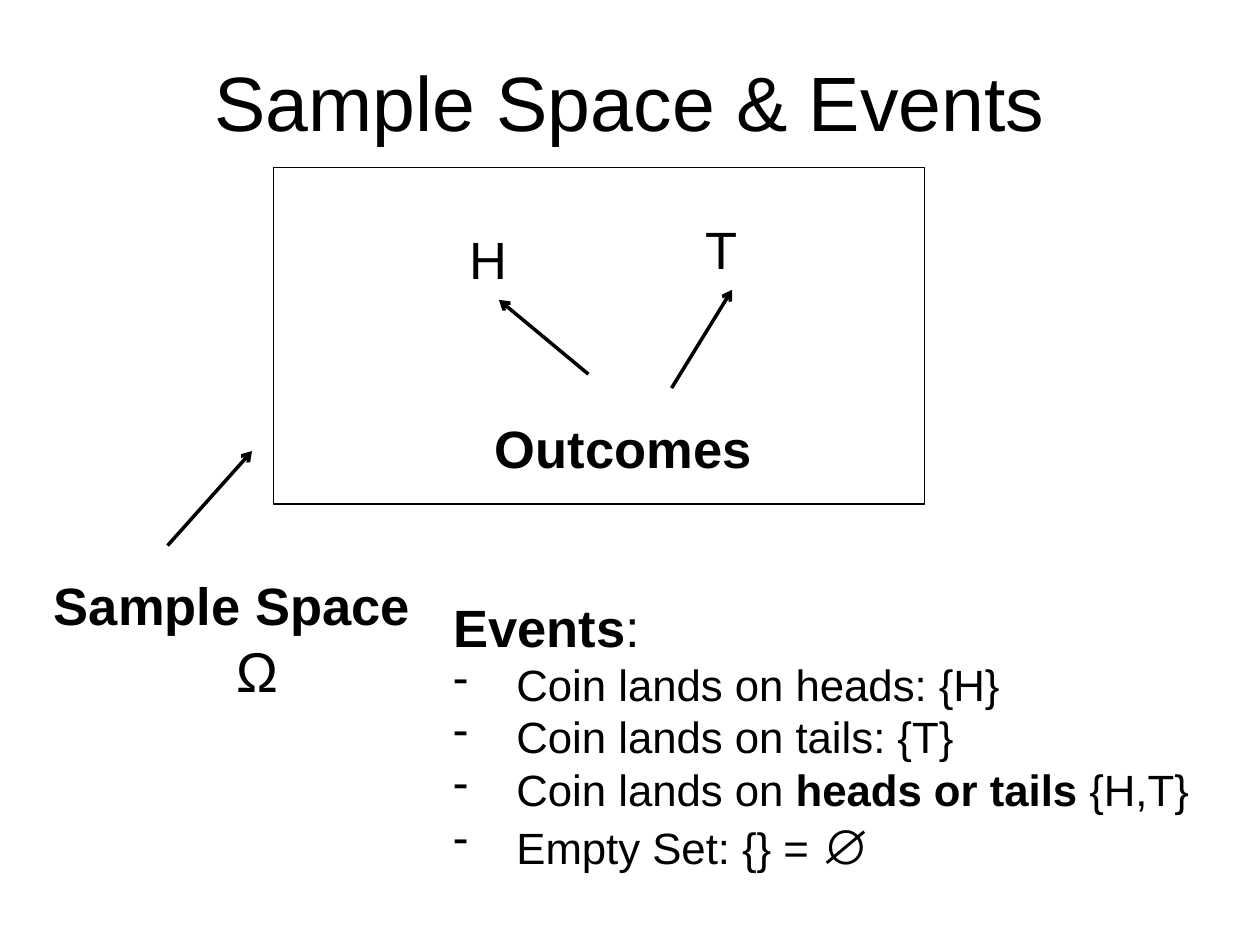
"""Build the slide on the sample space and events of a coin toss."""
from dataclasses import dataclass

import pptx
import pptx.dml.color
import pptx.enum.shapes
import pptx.enum.text
import pptx.oxml
import pptx.oxml.ns
import pptx.util
from pptx.util import Inches

BLACK = pptx.dml.color.RGBColor(0, 0, 0)
FONT = "Arial"
CENTER = pptx.enum.text.PP_ALIGN.CENTER
LEFT = pptx.enum.text.PP_ALIGN.LEFT
MIDDLE = pptx.enum.text.MSO_ANCHOR.MIDDLE
TOP = pptx.enum.text.MSO_ANCHOR.TOP
GROW = pptx.enum.text.MSO_AUTO_SIZE.SHAPE_TO_FIT_TEXT
FIXED = pptx.enum.text.MSO_AUTO_SIZE.NONE


@dataclass(frozen=True)
class Run:
    text: str
    size: float = 30
    bold: bool = False


@dataclass(frozen=True)
class Line:
    runs: tuple[Run, ...]
    align: int = LEFT
    dash: bool = False


@dataclass(frozen=True)
class Arrow:
    start: tuple[float, float]
    end: tuple[float, float]


def add_child(parent, tag: str, **attributes: str) -> None:
    child = pptx.oxml.parse_xml(f"<{tag} {pptx.oxml.ns.nsdecls('a')}/>")
    for name, value in attributes.items():
        child.set(name, value)
    parent.append(child)


def add_text(slide, box: tuple[float, float, float, float], *lines: Line,
             wrap: bool = False, anchor=TOP, auto_size=GROW) -> None:
    frame = slide.shapes.add_textbox(*map(Inches, box)).text_frame
    frame.word_wrap = wrap
    frame.auto_size = auto_size
    frame.vertical_anchor = anchor
    for index, line in enumerate(lines):
        paragraph = frame.add_paragraph() if index else frame.paragraphs[0]
        paragraph.alignment = line.align
        if line.dash:
            properties = paragraph._p.get_or_add_pPr()
            properties.set("marL", str(Inches(0.5)))
            properties.set("indent", str(-Inches(0.5)))
            add_child(properties, "a:buChar", char="-")
        for part in line.runs:
            run = paragraph.add_run()
            run.text = part.text
            run.font.name = FONT
            run.font.size = pptx.util.Pt(part.size)
            run.font.bold = part.bold
            run.font.color.rgb = BLACK


def add_arrow(slide, arrow: Arrow) -> None:
    connector = slide.shapes.add_connector(
        pptx.enum.shapes.MSO_CONNECTOR.STRAIGHT,
        *map(Inches, arrow.start + arrow.end))
    connector.line.color.rgb = BLACK
    connector.line.width = pptx.util.Pt(2)
    add_child(connector.line._get_or_add_ln(), "a:tailEnd", type="arrow")
    add_child(connector._element.spPr, "a:effectLst")


def event(*runs: Run) -> Line:
    return Line(runs, dash=True)


deck = pptx.Presentation()
deck.slide_width, deck.slide_height = Inches(10), Inches(7.5)
slide = deck.slides.add_slide(deck.slide_layouts[6])

add_text(slide, (0.5, 0.17, 9, 1.25),
         Line((Run("Sample Space & Events", 44),), CENTER),
         wrap=True, anchor=MIDDLE, auto_size=FIXED)

space = slide.shapes.add_shape(pptx.enum.shapes.MSO_SHAPE.RECTANGLE,
                               Inches(2.17), Inches(1.33), Inches(5.17), Inches(2.67))
space.shadow.inherit = False
space.fill.background()
space.line.color.rgb = BLACK
space.line.width = pptx.util.Pt(0.75)

add_text(slide, (3.63, 1.75, 0.51, 0.61), Line((Run("H"),)))
add_text(slide, (5.5, 1.67, 0.45, 0.61), Line((Run("T"),)))
add_text(slide, (3.83, 3.25, 2.26, 0.61), Line((Run("Outcomes", bold=True),)))
add_text(slide, (0.33, 4.5, 3.42, 1.14),
         Line((Run("Sample Space", bold=True),)),
         Line((Run("Ω", 32),), CENTER), wrap=True)

for arrow in (Arrow((1.33, 4.33), (2, 3.58)),
              Arrow((5.33, 3.08), (5.81, 2.3)),
              Arrow((4.67, 2.97), (3.96, 2.38))):
    add_arrow(slide, arrow)

add_text(slide, (3.5, 4.67, 6.09, 2.34),
         Line((Run("Events", bold=True), Run(":"))),
         event(Run("Coin lands on heads: {H}", 25)),
         event(Run("Coin lands on tails: {T}", 25)),
         event(Run("Coin lands on ", 25), Run("heads or tails", 25, True),
               Run(" {H,T}", 25)),
         event(Run("Empty Set: {} = ", 25), Run("∅", 28)))

deck.save("out.pptx")
